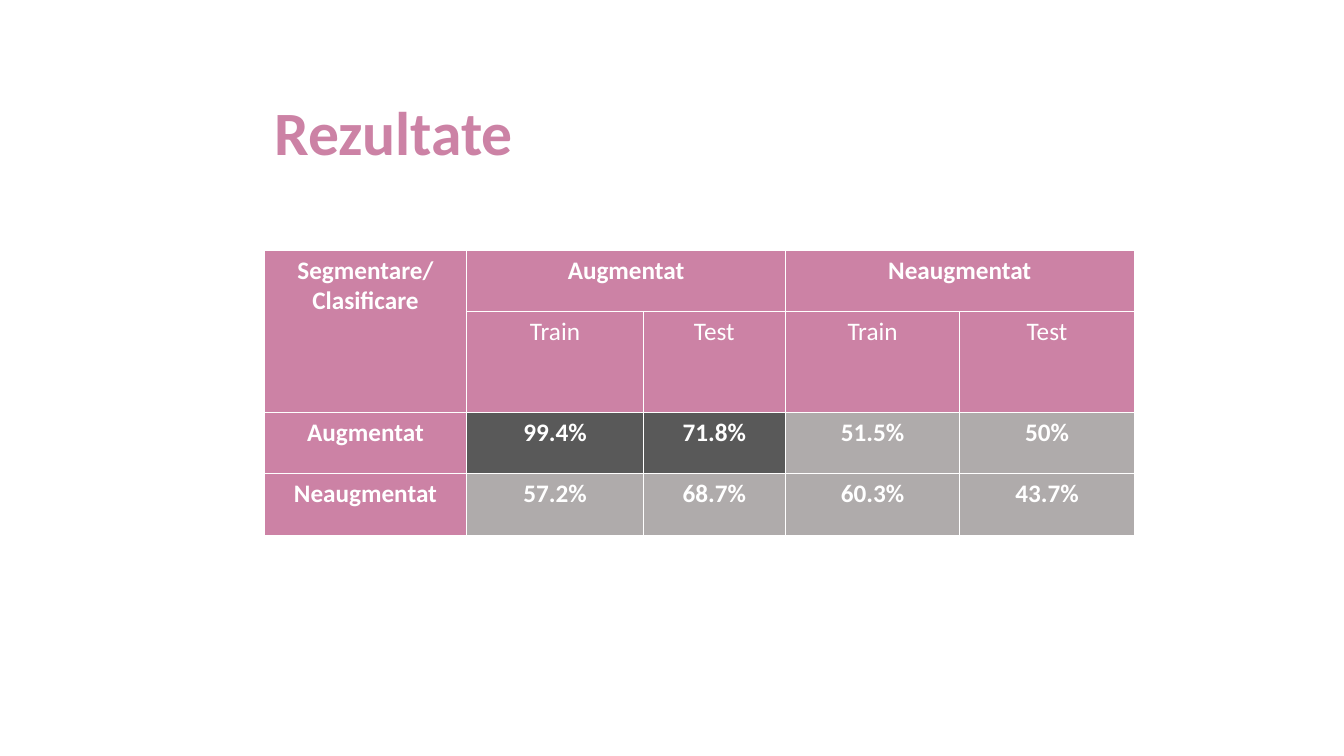
import pptx
import pptx.util
import pptx.dml.color
import pptx.enum.text
import lxml.etree

PINK, DARK, GREY, WHITE = "CC82A5", "595959", "AFABAB", "FFFFFF"
COLS = [2.01, 1.75, 1.41, 1.73, 1.73]
ROWS = [0.61, 1, 0.61, 0.61]
CELLS = [
    ["Segmentare/\nClasificare", "Augmentat", "", "Neaugmentat", ""],
    ["", "Train", "Test", "Train", "Test"],
    ["Augmentat", "99.4%", "71.8%", "51.5%", "50%"],
    ["Neaugmentat", "57.2%", "68.7%", "60.3%", "43.7%"],
]
SPANS = [(0, 0, 1, 0), (0, 1, 0, 2), (0, 3, 0, 4)]
BEST = {(2, 1), (2, 2)}
NS = "{http://schemas.openxmlformats.org/drawingml/2006/main}"


def tint(code):
    return pptx.dml.color.RGBColor.from_string(code)


def style(para, size, color, bold, align):
    para.alignment = align
    form = {"name": "Calibri", "size": pptx.util.Pt(size), "bold": bold}
    for key, value in form.items():
        setattr(para.font, key, value)
    para.font.color.rgb = tint(color)


def edge(cell):
    props = cell._tc.get_or_add_tcPr()
    for spot, side in enumerate(["lnL", "lnR", "lnT", "lnB"]):
        line = lxml.etree.Element(NS + side, w=str(pptx.util.Pt(1)))
        fill = lxml.etree.SubElement(line, NS + "solidFill")
        lxml.etree.SubElement(fill, NS + "srgbClr", val=WHITE)
        props.insert(spot, line)


def paint(cell, row, col):
    cell.fill.solid()
    head = row < 2 or col == 0
    code = PINK if head else DARK if (row, col) in BEST else GREY
    cell.fill.fore_color.rgb = tint(code)
    edge(cell)
    cell.text = CELLS[row][col]
    bold = row != 1
    for para in cell.text_frame.paragraphs:
        style(para, 18, WHITE, bold, pptx.enum.text.PP_ALIGN.CENTER)


def heading(slide, box):
    title = slide.shapes.title
    for key, value in zip(["left", "top", "width", "height"], box):
        setattr(title, key, pptx.util.Inches(value))
    frame = title.text_frame
    frame.text = "Rezultate"
    form = {
        "word_wrap": True,
        "auto_size": pptx.enum.text.MSO_AUTO_SIZE.SHAPE_TO_FIT_TEXT,
        "vertical_anchor": pptx.enum.text.MSO_ANCHOR.TOP,
    }
    for key, value in form.items():
        setattr(frame, key, value)
    style(frame.paragraphs[0], 44, PINK, True, pptx.enum.text.PP_ALIGN.LEFT)


def results(slide, box):
    place = [pptx.util.Inches(value) for value in box]
    table = slide.shapes.add_table(len(ROWS), len(COLS), *place).table
    for col, share in zip(table.columns, COLS):
        col.width = int(place[2] * share / sum(COLS))
    for row, share in zip(table.rows, ROWS):
        row.height = int(place[3] * share / sum(ROWS))
    for row in range(len(ROWS)):
        for col in range(len(COLS)):
            paint(table.cell(row, col), row, col)
    for top, left, low, right in SPANS:
        table.cell(top, left).merge(table.cell(low, right))


def main():
    deck = pptx.Presentation()
    deck.slide_width = pptx.util.Inches(13.33)
    deck.slide_height = pptx.util.Inches(7.5)
    slide = deck.slides.add_slide(deck.slide_layouts[5])
    heading(slide, (2.62, 0.88, 4.3, 0.84))
    results(slide, (2.62, 2.48, sum(COLS), sum(ROWS)))
    deck.save("out.pptx")


if __name__ == "__main__":
    main()
